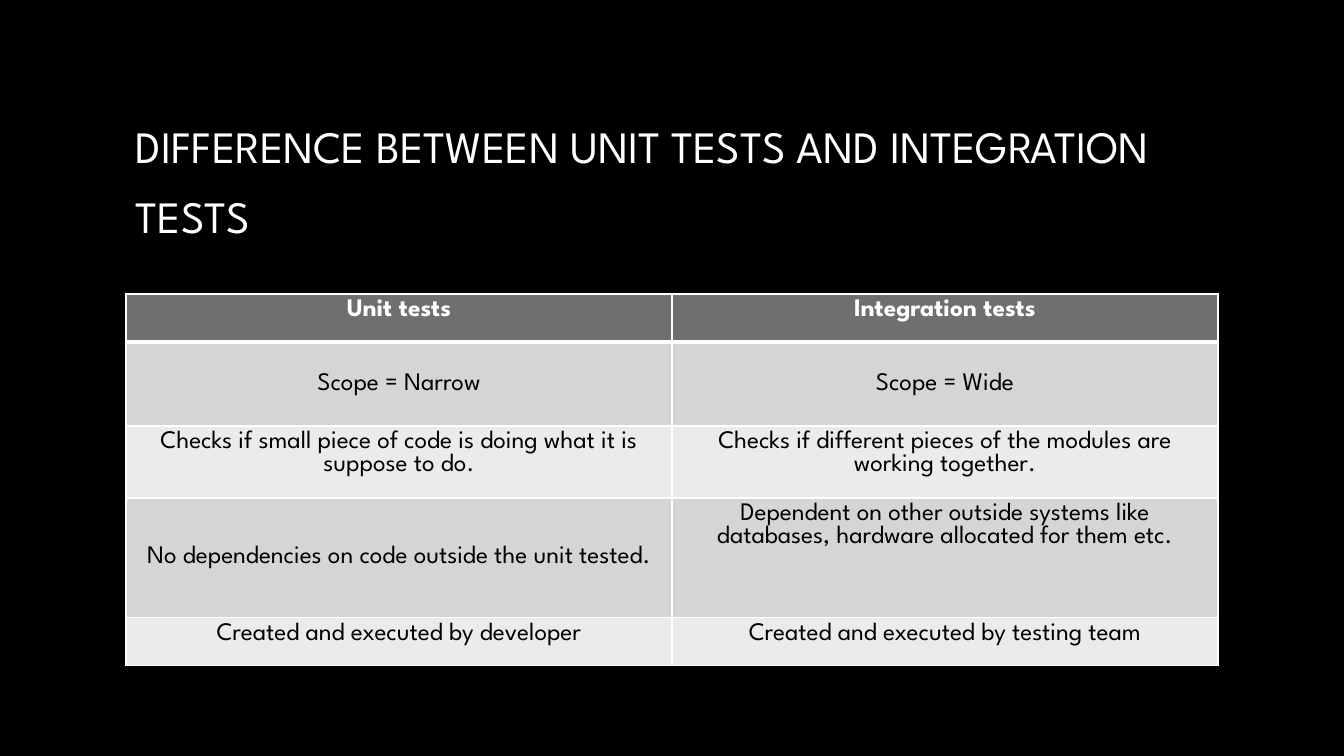
from dataclasses import dataclass

from lxml.etree import SubElement
from pptx import Presentation
from pptx.dml.color import RGBColor
from pptx.enum.text import MSO_ANCHOR as Anchor, PP_ALIGN as Align
from pptx.oxml.ns import qn
from pptx.util import Pt

EMU_PER_PX = 914400 / 100.8


def px(length):
    return round(length * EMU_PER_PX)


@dataclass(frozen=True)
class Theme:
    font: str = "League Spartan"
    background: str = "000000"
    light_text: str = "FFFFFF"
    dark_text: str = "000000"
    header_fill: str = "6F6F6F"
    band_fills: tuple = ("D5D5D5", "EBEBEB")
    border: str = "FFFFFF"
    title_size: int = 32
    table_size: int = 18
    thin: int = 1
    thick: int = 3


class SlideBuilder:
    def __init__(self, slide, theme):
        self.slide = slide
        self.theme = theme

    def background(self):
        fill = self.slide.background.fill
        fill.solid()
        fill.fore_color.rgb = RGBColor.from_string(self.theme.background)

    def add_words(self, paragraph, words, size, color, bold=False):
        run = paragraph.add_run()
        run.text = words
        font_format = {"name": self.theme.font, "size": Pt(size), "bold": bold}
        for attribute, value in font_format.items():
            setattr(run.font, attribute, value)
        run.font.color.rgb = RGBColor.from_string(color)

    def title(self, words, box):
        frame = self.slide.shapes.add_textbox(*map(px, box)).text_frame
        frame.word_wrap = True
        frame.vertical_anchor = Anchor.MIDDLE
        heading = frame.paragraphs[0]
        heading.line_spacing = 1.3
        self.add_words(heading, words, self.theme.title_size, self.theme.light_text)

    def borders(self, cell, widths):
        """Draw the cell's edges; widths maps each side to points."""
        properties = cell._tc.get_or_add_tcPr()
        for index, (side, width) in enumerate(widths.items()):
            edge = properties.makeelement(qn(f"a:ln{side}"), {"w": str(Pt(width))})
            properties.insert(index, edge)
            solid = SubElement(edge, qn("a:solidFill"))
            SubElement(solid, qn("a:srgbClr"), val=self.theme.border)

    def cell(self, cell, words, row, anchor):
        theme = self.theme
        is_header = row == 0
        fill = theme.header_fill if is_header else theme.band_fills[(row - 1) % 2]
        cell.fill.solid()
        cell.fill.fore_color.rgb = RGBColor.from_string(fill)
        cell.vertical_anchor = anchor
        paragraph = cell.text_frame.paragraphs[0]
        paragraph.alignment = Align.CENTER
        color = theme.light_text if is_header else theme.dark_text
        self.add_words(paragraph, words, theme.table_size, color, is_header)
        widths = dict.fromkeys("LRTB", theme.thin)
        if row < 2:
            widths["T" if row else "B"] = theme.thick
        self.borders(cell, widths)

    def table(self, rows, position, column_width, row_heights, middle_cells):
        column_count = len(rows[0])
        size = (column_width * column_count, sum(row_heights))
        table = self.slide.shapes.add_table(
            len(rows), column_count, *map(px, position + size)
        ).table
        for column in table.columns:
            column.width = px(column_width)
        for row, (texts, height) in enumerate(zip(rows, row_heights)):
            table.rows[row].height = px(height)
            for column, words in enumerate(texts):
                is_middle = (row, column) in middle_cells
                anchor = Anchor.MIDDLE if is_middle else Anchor.TOP
                self.cell(table.cell(row, column), words, row, anchor)


COMPARISON = [
    ("Unit tests", "Integration tests"),
    ("Scope = Narrow", "Scope = Wide"),
    (
        "Checks if small piece of code is doing what it is suppose to do.",
        "Checks if different pieces of the modules are working together.",
    ),
    (
        "No dependencies on code outside the unit tested.",
        "Dependent on other outside systems like databases, "
        "hardware allocated for them etc.",
    ),
    ("Created and executed by developer", "Created and executed by testing team"),
]


def main():
    deck = Presentation()
    deck.slide_width, deck.slide_height = px(1344), px(756)
    builder = SlideBuilder(deck.slides.add_slide(deck.slide_layouts[6]), Theme())
    builder.background()
    builder.title(
        "DIFFERENCE BETWEEN UNIT TESTS AND INTEGRATION TESTS", (126, 68, 1092, 210)
    )
    builder.table(
        COMPARISON,
        position=(126, 294),
        column_width=546,
        row_heights=(48, 84, 72, 120, 48),
        middle_cells={(1, 0), (1, 1), (3, 0)},
    )
    deck.save("out.pptx")


if __name__ == "__main__":
    main()
